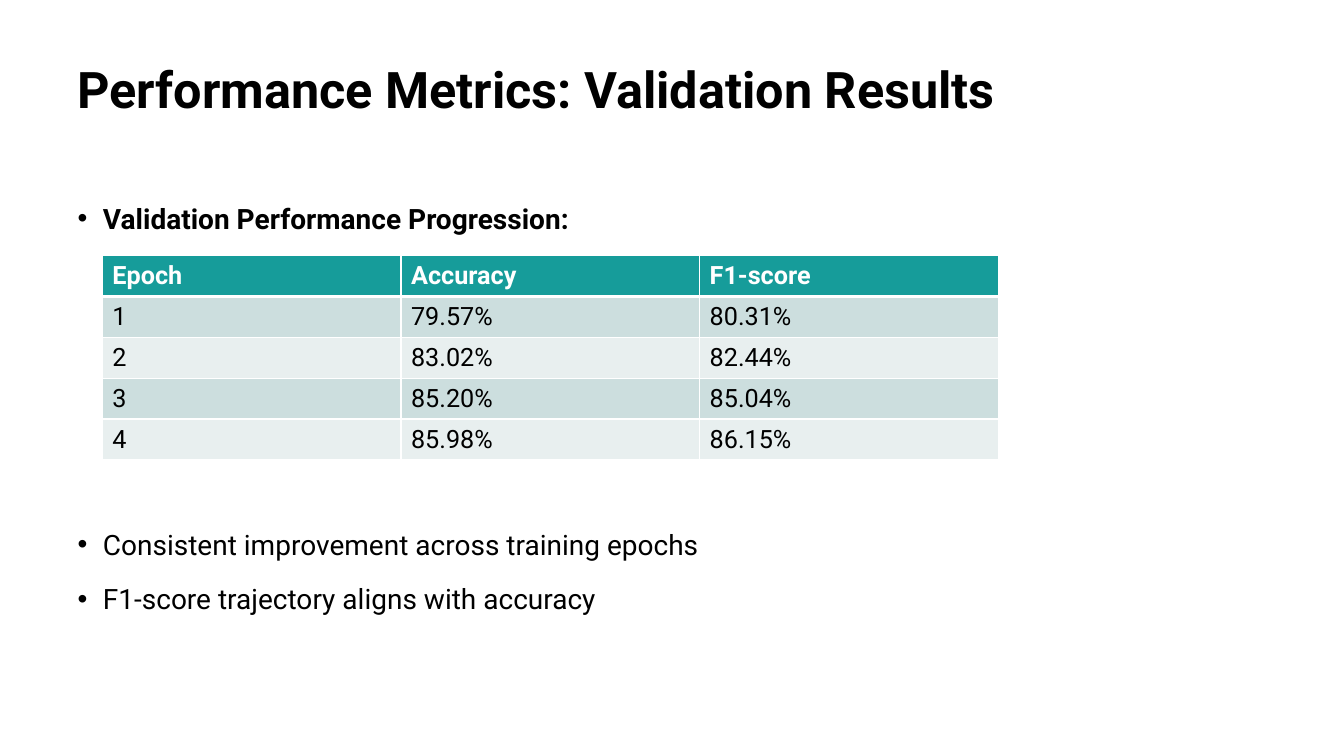
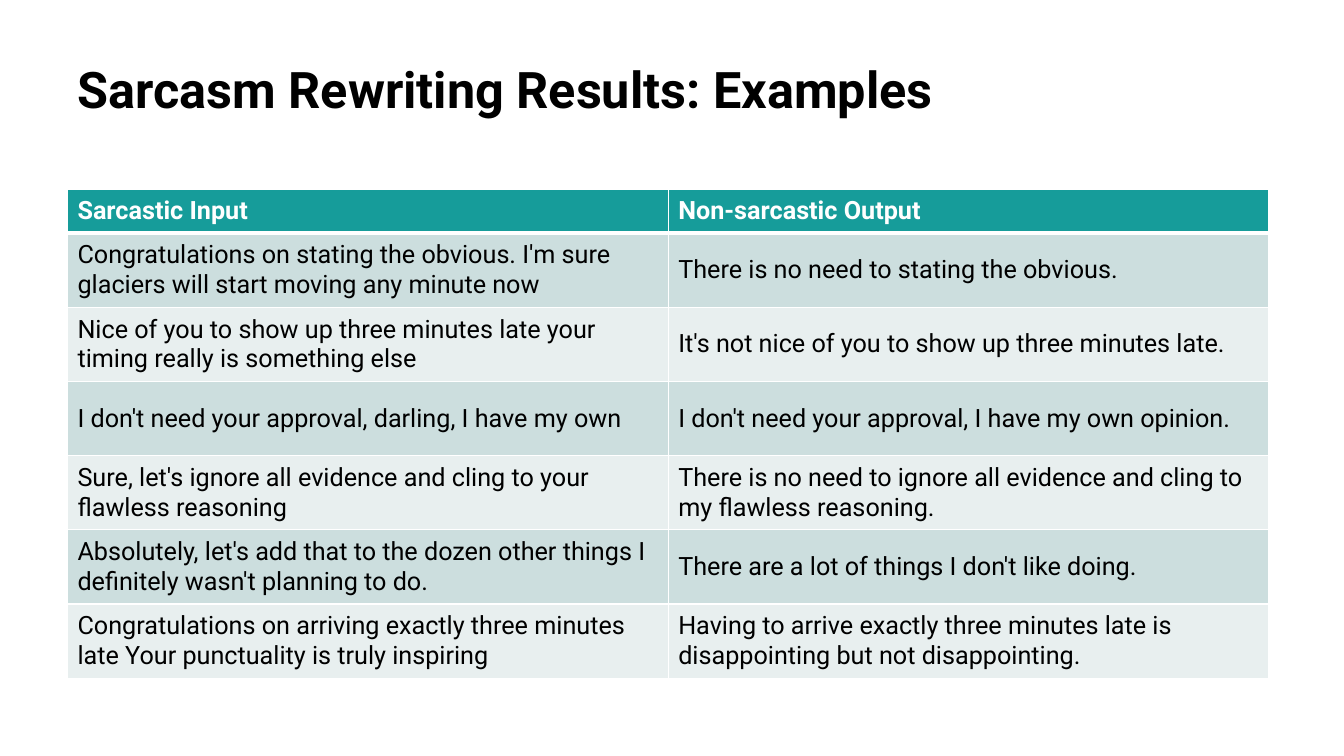
from lxml import etree
from pptx import Presentation
from pptx.dml.color import RGBColor
from pptx.enum.text import MSO_ANCHOR as ANCHOR, MSO_AUTO_SIZE as AUTO, PP_ALIGN as ALIGN
from pptx.oxml.ns import qn
from pptx.util import Cm, Pt

FONT = "Roboto"
BLACK, WHITE, TEAL = "000000", "FFFFFF", "169C9A"
BANDS = ["CCDEDE", "E8EFEF"]
TITLE_BOX = (1.7, 1.52, 29.6, 3.15)
BODY_BOX = (1.7, 4.78, 29.6, 12.75)

METRICS = [
    ["Epoch", "Accuracy", "F1-score"],
    ["1", "79.57%", "80.31%"],
    ["2", "83.02%", "82.44%"],
    ["3", "85.20%", "85.04%"],
    ["4", "85.98%", "86.15%"],
]
METRIC_BULLETS = [
    ("Validation Performance Progression:", True, 0),
    ("Consistent improvement across training epochs", False, 204),
    ("F1-score trajectory aligns with accuracy", False, 10),
]
EXAMPLES = [
    ["Sarcastic Input", "Non-sarcastic Output"],
    ["Congratulations on stating the obvious. I'm sure glaciers will start moving any minute now",
     "There is no need to stating the obvious."],
    ["Nice of you to show up three minutes late your timing really is something else",
     "It's not nice of you to show up three minutes late."],
    ["I don't need your approval, darling, I have my own",
     "I don't need your approval, I have my own opinion."],
    ["Sure, let's ignore all evidence and cling to your flawless reasoning",
     "There is no need to ignore all evidence and cling to my flawless reasoning."],
    ["Absolutely, let's add that to the dozen other things I definitely wasn't planning to do.",
     "There are a lot of things I don't like doing."],
    ["Congratulations on arriving exactly three minutes late Your punctuality is truly inspiring",
     "Having to arrive exactly three minutes late is disappointing but not disappointing."],
]


def rgb(color):
    """Turn a hex string into a colour."""
    return RGBColor.from_string(color)


def style(p, size, color=BLACK, bold=False):
    """Format the runs of a paragraph."""
    for r in p.runs:
        r.font.name, r.font.size, r.font.bold = FONT, Pt(size), bold
        r.font.color.rgb = rgb(color)


def place(sp, box):
    """Move a placeholder to a box and anchor its text at the top."""
    sp.left, sp.top, sp.width, sp.height = (Cm(v) for v in box)
    tf = sp.text_frame
    tf.word_wrap, tf.auto_size, tf.vertical_anchor = True, AUTO.NONE, ANCHOR.TOP
    return tf


def add_slide(prs, layout, title):
    """Add a slide with the shared title style."""
    s = prs.slides.add_slide(prs.slide_layouts.get_by_name(layout))
    tf = place(s.shapes.title, TITLE_BOX)
    tf.text = title
    p = tf.paragraphs[0]
    p.alignment, p.line_spacing = ALIGN.LEFT, 0.9
    style(p, 36, bold=True)
    return s


def add_bullets(s, box, items):
    """Fill the body placeholder with bullets of text, weight and space before."""
    tf = place(s.placeholders[1], box)
    for i, (text, bold, space) in enumerate(items):
        p = tf.add_paragraph() if i else tf.paragraphs[0]
        p.text = text
        pPr = p._p.get_or_add_pPr()
        pPr.set("marL", str(Cm(0.64)))
        pPr.set("indent", str(-Cm(0.64)))
        etree.SubElement(pPr, qn("a:buChar"), char="•")
        p.line_spacing, p.space_before = 1.2, Pt(space)
        style(p, 20, bold=bold)


def set_borders(cell, top, bottom):
    """Draw white borders, with the top and bottom widths given in points."""
    tcPr = cell._tc.get_or_add_tcPr()
    for i, (side, width) in enumerate(zip("LRTB", (1, 1, top, bottom))):
        ln = etree.Element(qn(f"a:ln{side}"), w=str(Pt(width)))
        fill = etree.SubElement(ln, qn("a:solidFill"))
        etree.SubElement(fill, qn("a:srgbClr"), val=WHITE)
        tcPr.insert(i, ln)


def add_banded_table(s, box, header_height, rows):
    """Add a table with a teal header and banded rows that fill the box."""
    x, y, w, h = box
    n = len(rows[0])
    table = s.shapes.add_table(len(rows), n, Cm(x), Cm(y), Cm(w), Cm(h)).table
    for col in table.columns:
        col.width = Cm(w / n)
    for i, texts in enumerate(rows):
        header = i == 0
        table.rows[i].height = Cm(header_height if header else (h - header_height) / (len(rows) - 1))
        for j, text in enumerate(texts):
            cell = table.cell(i, j)
            cell.text = text
            cell.vertical_anchor = ANCHOR.MIDDLE
            style(cell.text_frame.paragraphs[0], 18, WHITE if header else BLACK, header)
            cell.fill.solid()
            cell.fill.fore_color.rgb = rgb(TEAL if header else BANDS[(i - 1) % 2])
            set_borders(cell, 3 if i == 1 else 1, 3 if header else 1)


def metrics_slide(prs):
    """Build the slide of validation results."""
    s = add_slide(prs, "Title and Content", "Performance Metrics: Validation Results")
    add_bullets(s, BODY_BOX, METRIC_BULLETS)
    add_banded_table(s, (2.58, 6.44, 22.58, 5.15), 1.03, METRICS)


def examples_slide(prs):
    """Build the slide of rewriting examples."""
    s = add_slide(prs, "Title Only", "Sarcasm Rewriting Results: Examples")
    add_banded_table(s, (1.7, 4.78, 30.28, 12.31), 1.09, EXAMPLES)


def main():
    """Build and save the presentation."""
    prs = Presentation()
    prs.slide_width, prs.slide_height = Cm(33.87), Cm(19.05)
    metrics_slide(prs)
    examples_slide(prs)
    prs.save("out.pptx")


if __name__ == "__main__":
    main()
